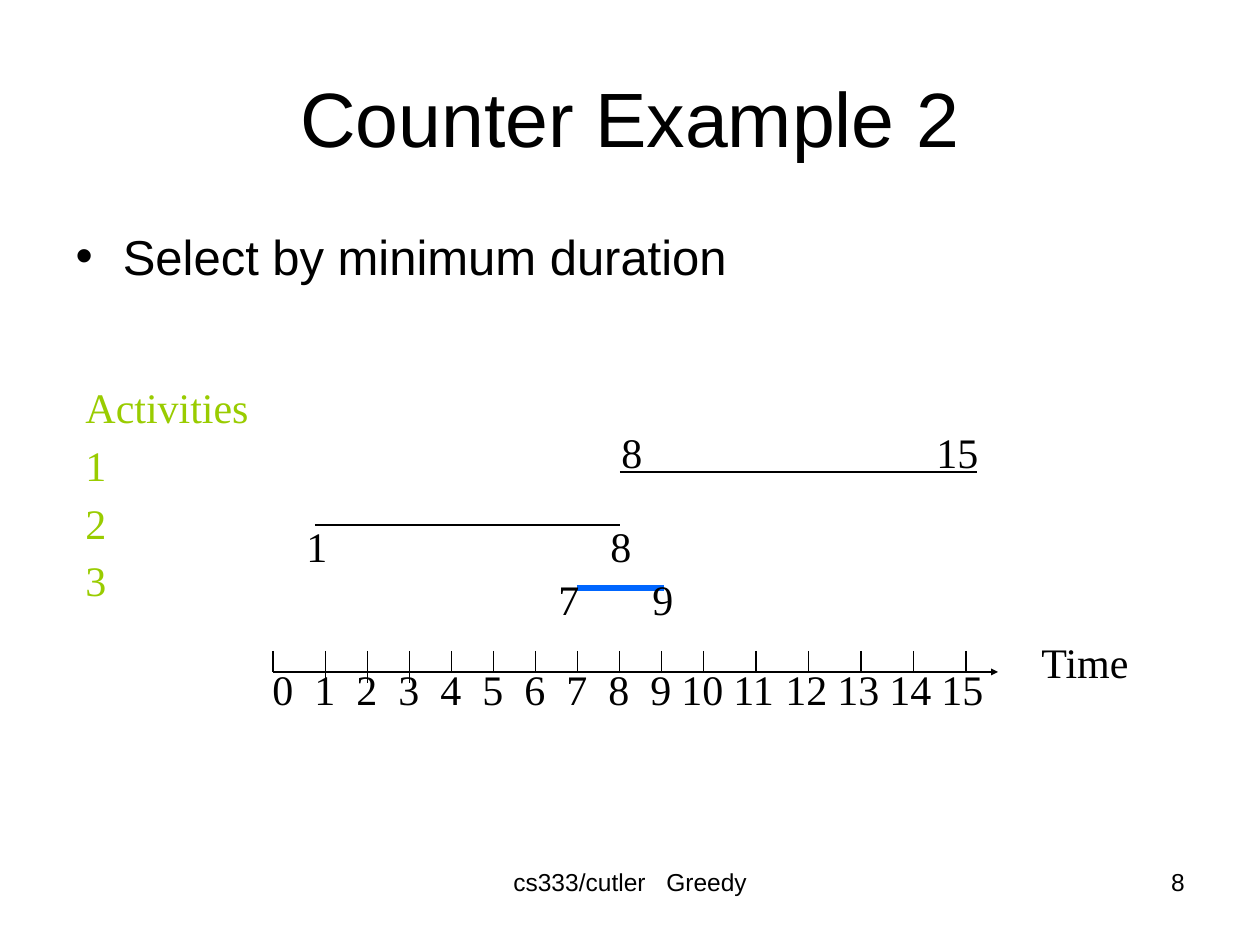
from lxml import etree
from pptx import Presentation
from pptx.dml.color import RGBColor
from pptx.enum.shapes import MSO_CONNECTOR as Connector
from pptx.enum.text import MSO_ANCHOR as Anchor, MSO_AUTO_SIZE as AutoSize, PP_ALIGN as Align
from pptx.oxml.ns import qn
from pptx.util import Emu, Pt

EMU_PER_PX = 914400 // 126
SANS, SERIF = "Arial", "Times New Roman"
BLACK, BLUE, GREEN = "000000", "0066FF", "99CC00"

# Content
TITLE = "Counter Example 2"
STRATEGY = "Select by minimum duration"
ACTIVITIES = ["Activities", "1", "2", "3"]
FOOTER = ["cs333/cutler", "Greedy"]
PAGE = "8"
HOURS = range(16)

# start, end, line (x1, x2, y, colour, points), label box, offset of end label
INTERVALS = [
    (7, 9, (577, 664, 588, BLUE, 3), (546, 567, 168, 63), 94),
    (1, 8, (315, 620, 525, BLACK, 1), (294, 514, 431, 63), 304),
    (8, 15, (620, 977, 472, BLACK, 1), (609, 420, 420, 63), 315),
]

# Time axis: single-digit hours are narrower than double-digit ones
AXIS_Y, AXIS_START, AXIS_END = 672, 273, 998
TICK_TOP, LONG_TICK_BOTTOM, LONG_TICKS = 651, 683, (1, 2, 3)
NARROW, WIDE = 42, 52.5
LABEL_TEN, LABEL_STEP = 409, 52


def px(length):
    return Emu(round(length * EMU_PER_PX))


def rgb(colour):
    return RGBColor.from_string(colour)


def place(shape, box):
    shape.left, shape.top, shape.width, shape.height = map(px, box)


def set_text(frame, *lines, size=24, font=SERIF, colour=BLACK, align=Align.LEFT,
             spacing=None, before=0, tabs=()):
    for index, line in enumerate(lines):
        paragraph = frame.paragraphs[0] if index == 0 else frame.add_paragraph()
        paragraph.alignment = align
        paragraph.space_before = Pt(before)
        if spacing:
            paragraph.line_spacing = Pt(spacing)
        if tabs:
            stops = etree.SubElement(paragraph._p.get_or_add_pPr(), qn("a:tabLst"))
            for tab in tabs:
                etree.SubElement(stops, qn("a:tab"), pos=str(px(tab)), algn="l")
        run = paragraph.add_run()
        run.text = line
        run.font.size, run.font.name = Pt(size), font
        run.font.color.rgb = rgb(colour)


def add_label(box, *lines, **style):
    frame = slide.shapes.add_textbox(*map(px, box)).text_frame
    frame.word_wrap = True
    set_text(frame, *lines, **style)


def add_line(x1, y1, x2, y2, colour=BLACK, points=1, arrow=False):
    connector = slide.shapes.add_connector(Connector.STRAIGHT, *map(px, (x1, y1, x2, y2)))
    connector.line.color.rgb = rgb(colour)
    connector.line.width = Pt(points)
    if arrow:
        etree.SubElement(connector.line._get_or_add_ln(), qn("a:tailEnd"),
                         type="triangle", w="sm", len="sm")
    etree.SubElement(connector._element.spPr, qn("a:effectLst"))


def tick_x(hour):
    if hour == 0:
        return AXIS_START
    return AXIS_START + WIDE + NARROW * (min(hour, 10) - 1) + WIDE * max(hour - 10, 0)


def hour_tab(hour):
    return NARROW * hour if hour < 10 else LABEL_TEN + LABEL_STEP * (hour - 10)


prs = Presentation()
prs.slide_width, prs.slide_height = px(1260), px(945)
slide = prs.slides.add_slide(prs.slide_layouts[1])

# Title and strategy
title, body = slide.placeholders
place(title, (63, 38, 1134, 158))
title.text_frame.vertical_anchor = Anchor.MIDDLE
set_text(title.text_frame, TITLE, size=44, font=SANS, align=Align.CENTER)

place(body, (63, 220, 1134, 300))
set_text(body.text_frame, STRATEGY, size=28, font=SANS, before=7)
for placeholder in (title, body):
    placeholder.text_frame.auto_size = AutoSize.NONE

# Time axis
add_line(AXIS_START, AXIS_Y, AXIS_END, AXIS_Y, arrow=True)
for hour in HOURS:
    bottom = LONG_TICK_BOTTOM if hour in LONG_TICKS else AXIS_Y
    add_line(tick_x(hour), TICK_TOP, tick_x(hour), bottom)
add_label((260, 657, 750, 63), "\t".join(map(str, HOURS)),
          tabs=[hour_tab(hour) for hour in HOURS[1:]])
add_label((1029, 630, 130, 63), "Time")

# Activities and their intervals
add_label((73, 368, 210, 244), *ACTIVITIES, colour=GREEN, spacing=33)
for start, end, (x1, x2, y, colour, points), box, end_tab in INTERVALS:
    add_line(x1, y, x2, y, colour, points)
    add_label(box, f"{start}\t{end}", tabs=[end_tab])

# Footer
add_label((501, 861, 330, 65), "\t".join(FOOTER), size=14, font=SANS, tabs=[153])
add_label((903, 861, 294, 65), PAGE, size=14, font=SANS, align=Align.RIGHT)

prs.save("out.pptx")
